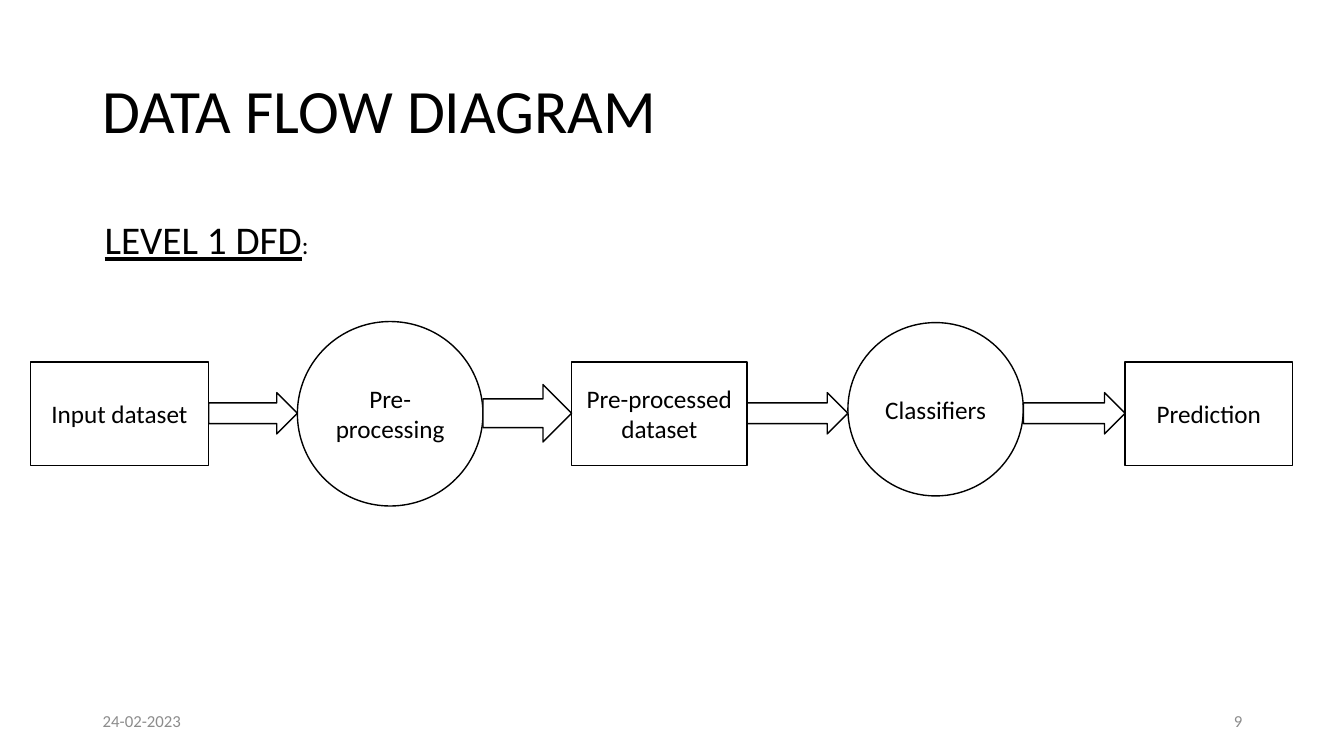
from pptx import Presentation
from pptx import util as u
from pptx.dml.color import RGBColor
from pptx.enum import shapes, text

COLORS = {"ink": "000000", "paper": "FFFFFF", "muted": "8C8C8C"}
FONT = "Calibri"
SHAPE = shapes.MSO_SHAPE
ALIGN = text.PP_ALIGN
ANCHOR = text.MSO_ANCHOR

NODES = [
    ("Input dataset", SHAPE.RECTANGLE, 0.3, 3.59, 1.77, 1.03),
    ("Pre-processing", SHAPE.OVAL, 2.95, 3.19, 1.84, 1.83),
    ("Pre-processed dataset", SHAPE.RECTANGLE, 5.67, 3.59, 1.74, 1.03),
    ("Classifiers", SHAPE.OVAL, 8.41, 3.2, 1.74, 1.72),
    ("Prediction", SHAPE.RECTANGLE, 11.16, 3.59, 1.66, 1.03),
]
ARROW_HEIGHTS = [0.41, 0.57, 0.41, 0.41]
ARROW_MIDDLE = 4.1


def color(name):
    return RGBColor.from_string(COLORS[name])


def apply(target, values):
    for name, value in values.items():
        setattr(target, name, value)


def write(shape, runs, ink="ink", align=ALIGN.LEFT, anchor=ANCHOR.MIDDLE, spacing=1.0):
    apply(shape.text_frame, {"word_wrap": True, "vertical_anchor": anchor})
    paragraph = shape.text_frame.paragraphs[0]
    apply(paragraph, {"alignment": align, "line_spacing": spacing})
    for words, size, underline in runs:
        run = paragraph.add_run()
        run.text = words
        apply(run.font, {"name": FONT, "size": u.Pt(size), "underline": underline})
        run.font.color.rgb = color(ink)


def add_label(slide, box, runs, **style):
    write(slide.shapes.add_textbox(*map(u.Inches, box)), runs, **style)


def add_outlined(slide, kind, box):
    shape = slide.shapes.add_shape(kind, *map(u.Inches, box))
    shape.shadow.inherit = False
    shape.fill.solid()
    shape.fill.fore_color.rgb = color("paper")
    shape.line.color.rgb = color("ink")
    shape.line.width = u.Pt(1)
    return shape


def add_heading(slide, left, top, width):
    add_label(slide, (left, top, width, 1.45),
              [("DATA FLOW DIAGRAM", 44, False)], spacing=0.9)
    add_label(slide, (left + 0.02, top + 1.69, 4.53, 0.57),
              [("LEVEL 1 DFD", 28, True), (":", 18, False)], anchor=ANCHOR.TOP)


def add_flow(slide, nodes, arrow_heights, middle):
    for label, kind, *box in nodes:
        write(add_outlined(slide, kind, box), [(label, 18, False)], align=ALIGN.CENTER)
    for source, target, height in zip(nodes, nodes[1:], arrow_heights):
        start = source[2] + source[4]
        add_outlined(slide, SHAPE.RIGHT_ARROW,
                     (start, middle - height / 2, target[2] - start, height))


def add_footer(slide, left, top, width):
    field = 3
    add_label(slide, (left, top, field, 0.4), [("24-02-2023", 12, False)], ink="muted")
    add_label(slide, (left + width - field, top, field, 0.4), [("9", 12, False)],
              ink="muted", align=ALIGN.RIGHT)


def main():
    presentation = Presentation()
    apply(presentation, {"slide_width": u.Inches(13.33), "slide_height": u.Inches(7.5)})
    slide = presentation.slides.add_slide(presentation.slide_layouts[6])
    add_heading(slide, 0.92, 0.4, 11.5)
    add_flow(slide, NODES, ARROW_HEIGHTS, ARROW_MIDDLE)
    add_footer(slide, 0.92, 6.95, 11.5)
    presentation.save("out.pptx")


if __name__ == "__main__":
    main()
